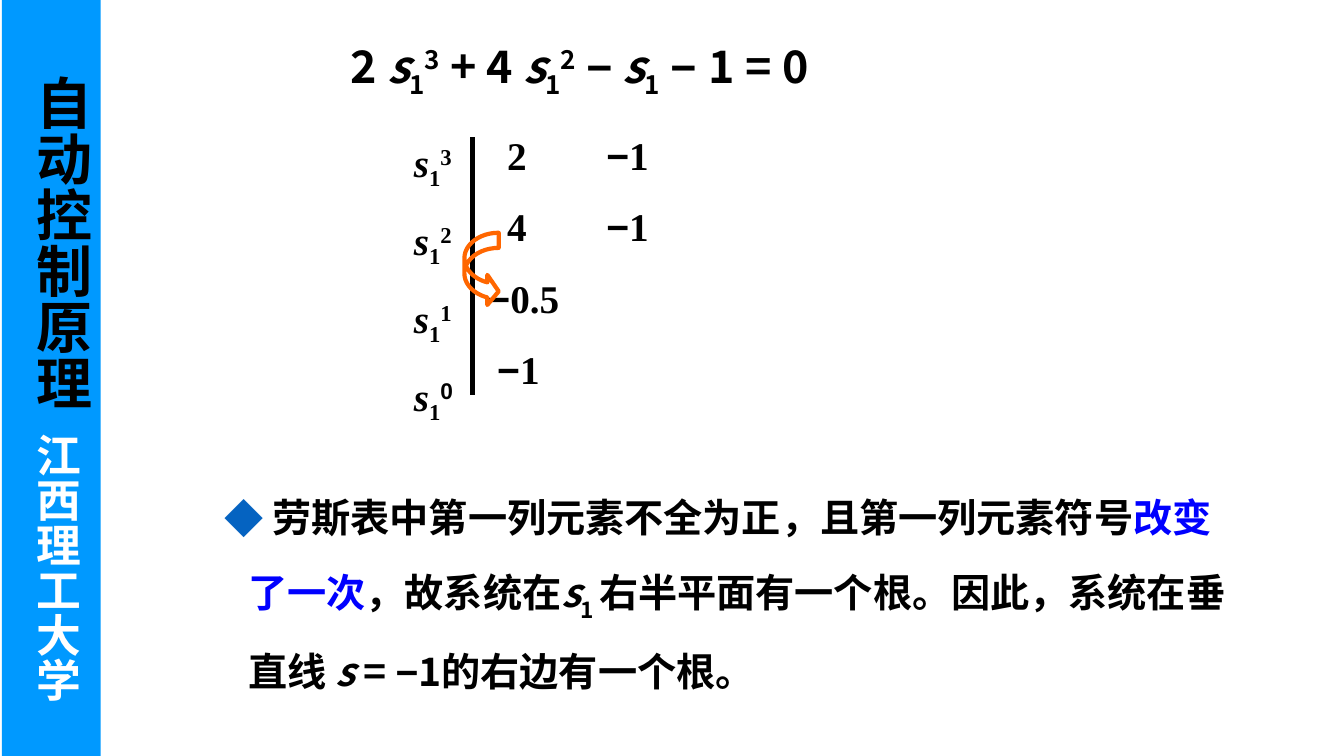
from typing import NamedTuple, Optional

from lxml import etree
from pptx import Presentation
from pptx import util as u
from pptx.dml.color import RGBColor
from pptx.enum import shapes, text
from pptx.oxml.ns import qn

Pt = u.Pt
BLACK = RGBColor(0x00, 0x00, 0x00)
WHITE = RGBColor(0xFF, 0xFF, 0xFF)
BLUE = RGBColor(0x00, 0x00, 0xFF)
BULLET_BLUE = RGBColor(0x05, 0x63, 0xC1)
SIDEBAR_BLUE = RGBColor(0x00, 0x99, 0xFF)
ORANGE = RGBColor(0xFF, 0x66, 0x00)
SANS, SERIF, ARIAL = "Noto Sans CJK SC", "Times New Roman", "Arial"


class Box(NamedTuple):
    left: float
    top: float
    width: float
    height: float


class Run(NamedTuple):
    text: str
    italic: bool = False
    baseline: int = 0
    font: Optional[str] = None
    color: RGBColor = BLACK
    size: Optional[float] = None


MINUS = Run("−", font=ARIAL)
S = Run("s", italic=True)
S1 = [S, Run("1", baseline=-25)]


def power(exponent: str, font: Optional[str] = None) -> Run:
    return Run(exponent, baseline=30, font=font)


def fill_paragraph(paragraph, runs: list[Run], font: str, size: float) -> None:
    for item in runs:
        run = paragraph.add_run()
        run.text = item.text
        run.font.size = Pt(item.size or size)
        run.font.bold = True
        run.font.italic = item.italic
        run.font.color.rgb = item.color
        run.font.name = item.font or font
        properties = run._r.get_or_add_rPr()
        etree.SubElement(properties, qn("a:ea"), typeface=item.font or font)
        if item.baseline:
            properties.set("baseline", str(item.baseline * 1000))


def place(shape, box: Box) -> None:
    shape.left, shape.top, shape.width, shape.height = map(Pt, box)


def fill_frame(frame, rows: list[list[Run]], font: str, size: float,
               gap: float = 0) -> None:
    frame.word_wrap = True
    frame.auto_size = text.MSO_AUTO_SIZE.NONE
    frame.vertical_anchor = text.MSO_ANCHOR.TOP
    for index, runs in enumerate(rows):
        paragraph = frame.add_paragraph() if index else frame.paragraphs[0]
        paragraph.alignment = text.PP_ALIGN.LEFT
        if index:
            paragraph.space_before = Pt(gap)
        fill_paragraph(paragraph, runs, font, size)


def add_text(slide, box: Box, rows: list[list[Run]], font: str, size: float,
             gap: float = 0):
    frame = slide.shapes.add_textbox(*map(Pt, box)).text_frame
    fill_frame(frame, rows, font, size, gap)
    return frame


def set_tabs(paragraph, stops: list[float]) -> None:
    tabs = etree.SubElement(paragraph._p.get_or_add_pPr(), qn("a:tabLst"))
    for stop in stops:
        etree.SubElement(tabs, qn("a:tab"), pos=str(Pt(stop)), algn="l")


def set_bullet(paragraph, character: str, color: RGBColor, indent: float) -> None:
    properties = paragraph._p.get_or_add_pPr()
    properties.set("marL", str(Pt(indent)))
    properties.set("indent", str(-Pt(indent)))
    bullet_color = etree.SubElement(properties, qn("a:buClr"))
    etree.SubElement(bullet_color, qn("a:srgbClr"), val=str(color))
    etree.SubElement(properties, qn("a:buFont"), typeface=SANS)
    etree.SubElement(properties, qn("a:buChar"), char=character)


def add_equation(slide) -> None:
    title = slide.shapes.title
    place(title, Box(243.4, 23.8, 513.4, 89.3))
    runs = [Run("2 "), *S1, power("3"), Run(" + 4 "), *S1, power("2"), Run(" "),
            MINUS, Run(" "), *S1, Run(" "), Run("− ", font=ARIAL), Run("1 = 0")]
    fill_frame(title.text_frame, [runs], SANS, 32)


def add_routh_array(slide) -> None:
    # Powers of s1 on the left
    labels = [[*S1, power(exponent, ARIAL if exponent == "0" else None)]
              for exponent in "3210"]
    add_text(slide, Box(288.7, 95, 52.6, 213.1), labels, SERIF, 28, 17.5)

    # Coefficients on the right
    values = [[Run(f"\t{first}\t"), MINUS, Run("1")] for first in "24"]
    values += [[MINUS, Run("0.5")], [Run("\t"), MINUS, Run("1")]]
    frame = add_text(slide, Box(341.3, 90, 204.5, 194.4), values, SERIF, 28, 17.5)
    for paragraph, stops in zip(frame.paragraphs, ([14, 85], [14, 85], [], [7])):
        if stops:
            set_tabs(paragraph, stops)

    # Dividing line
    line = slide.shapes.add_connector(shapes.MSO_CONNECTOR.STRAIGHT, Pt(337.7),
                                      Pt(97.9), Pt(337.7), Pt(282.2))
    line.line.color.rgb = BLACK
    line.line.width = Pt(3)
    etree.SubElement(line._element.spPr, qn("a:effectLst"))


def add_sign_change_arrow(slide) -> None:
    arrow = slide.shapes.add_shape(shapes.MSO_SHAPE.CURVED_RIGHT_ARROW,
                                   *map(Pt, Box(331.9, 166.3, 24.5, 52.6)))
    for index, value in enumerate((0.44, 0.88, 0.33)):
        arrow.adjustments[index] = value
    arrow.shadow.inherit = False
    arrow.fill.background()
    arrow.line.color.rgb = ORANGE
    arrow.line.width = Pt(3)


def add_conclusion(slide) -> None:
    runs = [Run(" 劳斯表中第一列元素不全为正，且第一列元素符号"),
            Run("改变了一次", color=BLUE), Run("，故系统在"), S,
            Run("1 ", baseline=-30), Run("右半平面有一个根。因此，系统在垂直线 "), S,
            Run(" = "), MINUS, Run("1的右边有一个根。")]
    frame = add_text(slide, Box(153.4, 331.9, 734.4, 167.8), [runs], SANS, 28)
    paragraph = frame.paragraphs[0]
    paragraph.line_spacing = 1.5
    set_bullet(paragraph, "◆", BULLET_BLUE, 17)


def add_sidebar(slide) -> None:
    bar = slide.shapes.add_shape(shapes.MSO_SHAPE.RECTANGLE,
                                 *map(Pt, Box(1.4, 0, 70.6, 540)))
    bar.shadow.inherit = False
    bar.fill.solid()
    bar.fill.fore_color.rgb = SIDEBAR_BLUE
    bar.line.fill.background()
    frame = bar.text_frame
    runs = [Run("自动控制原理", size=40), Run("　", size=16),
            Run("江西理工大学", color=WHITE)]
    fill_frame(frame, [runs], SANS, 32)
    frame.margin_left = frame.margin_right = Pt(3.6)
    frame.margin_top, frame.margin_bottom = Pt(54), Pt(11.5)
    frame._txBody.bodyPr.set("vert", "eaVert")


def main() -> None:
    presentation = Presentation()
    presentation.slide_width, presentation.slide_height = Pt(960.48), Pt(540)
    slide = presentation.slides.add_slide(presentation.slide_layouts[5])
    add_conclusion(slide)
    add_routh_array(slide)
    add_equation(slide)
    add_sign_change_arrow(slide)
    add_sidebar(slide)
    presentation.save("out.pptx")


if __name__ == "__main__":
    main()
